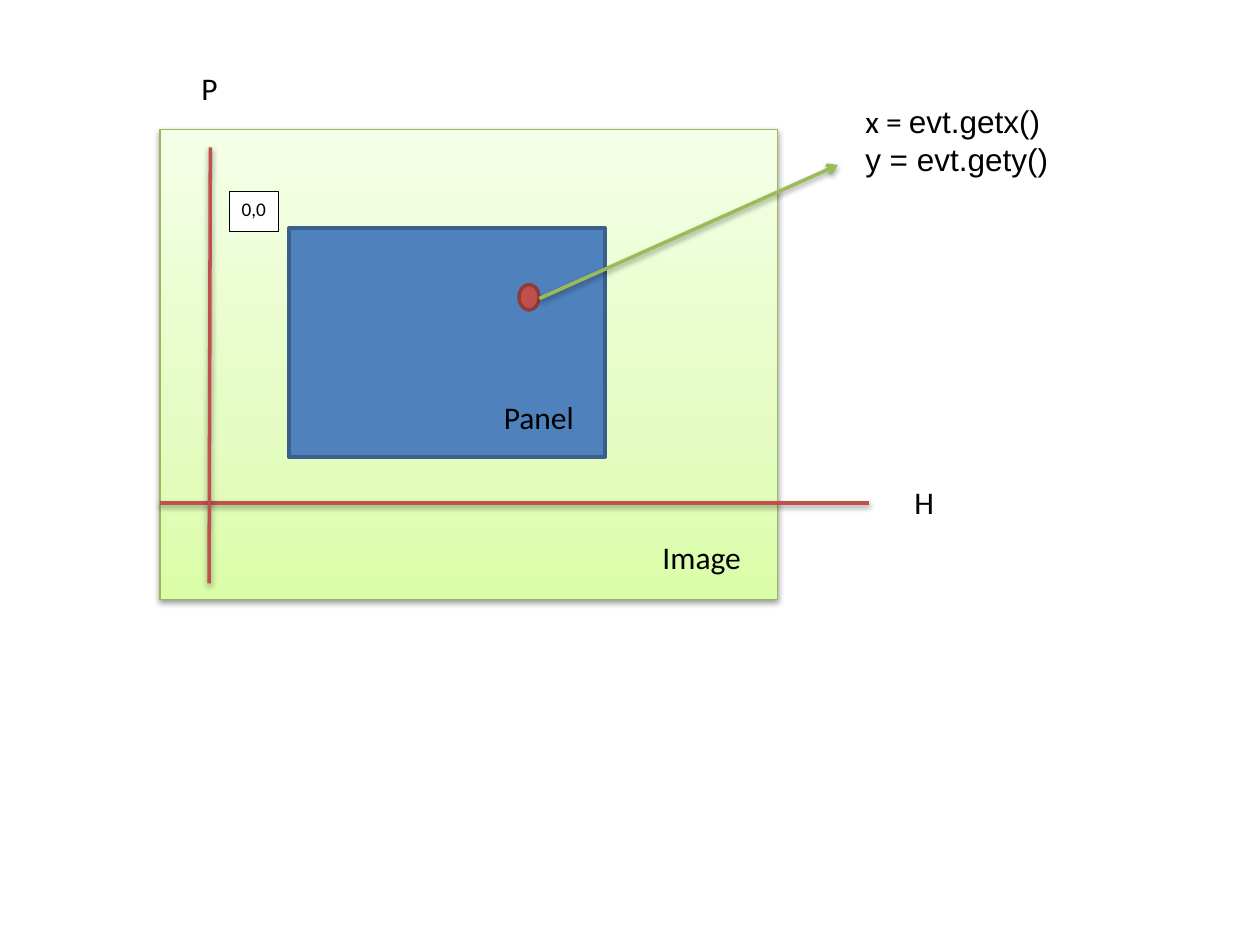
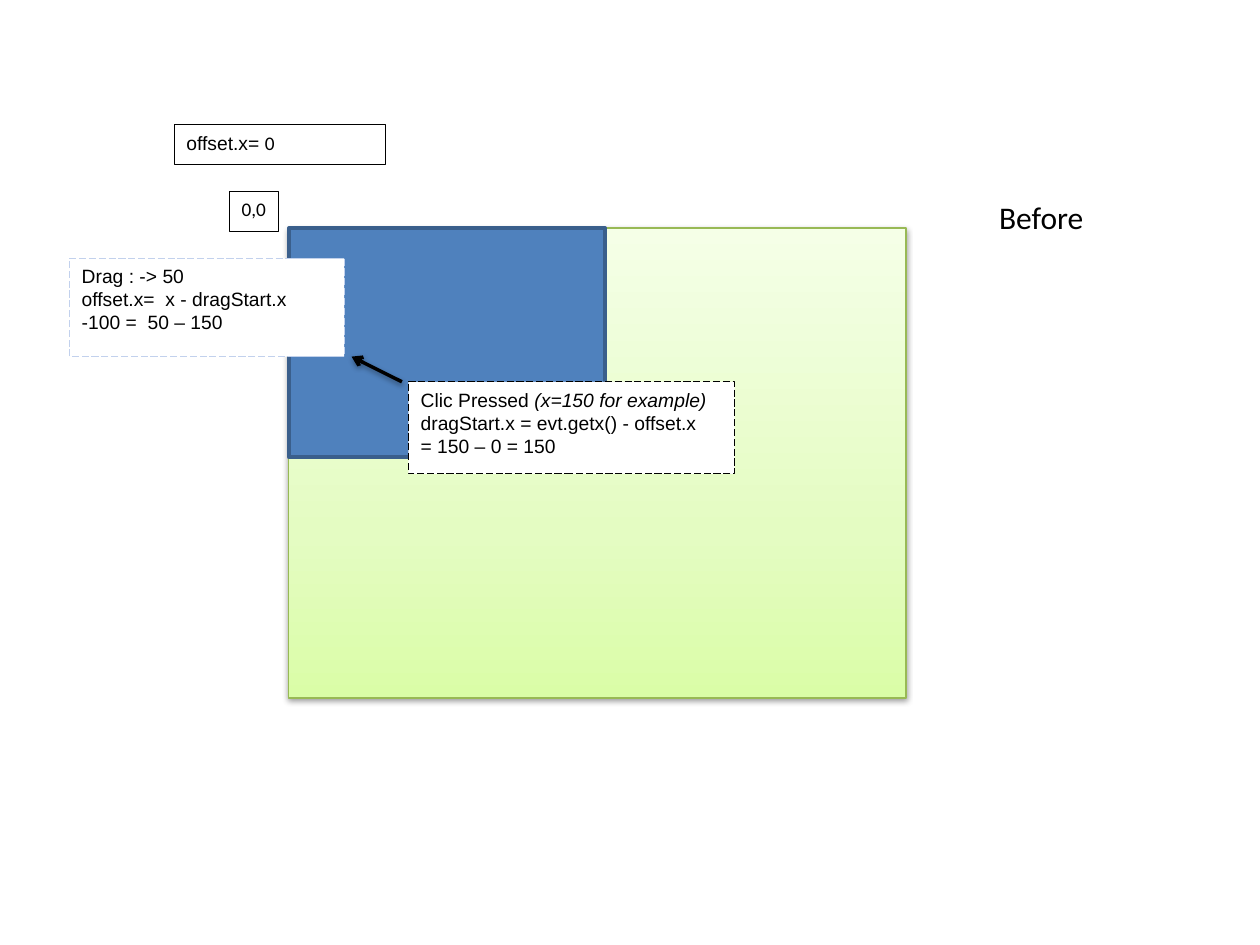
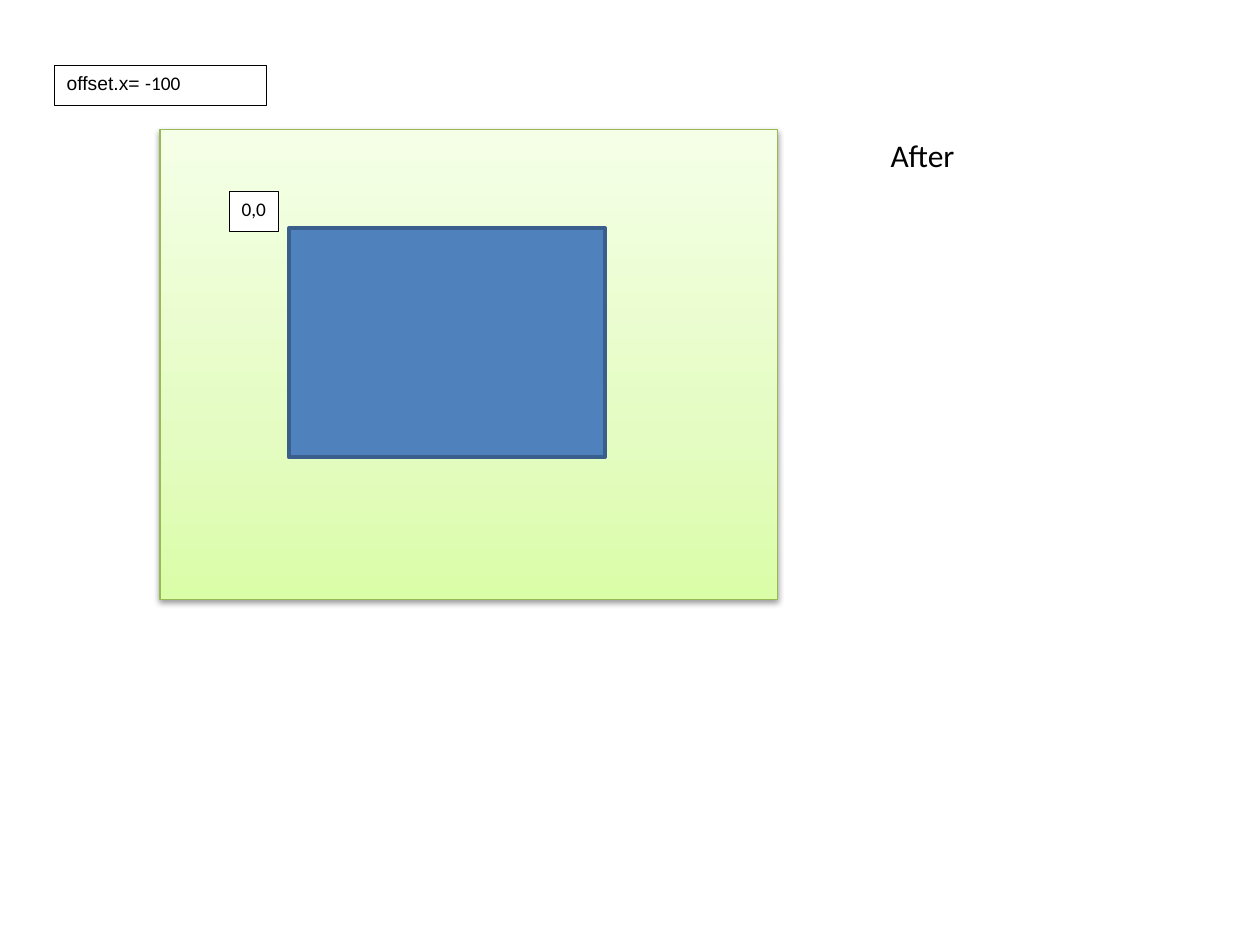
"""Build three slides that explain dragging an image inside a panel."""
from copy import deepcopy

from lxml.etree import SubElement
from pptx import Presentation
from pptx.dml.color import RGBColor
from pptx.enum.dml import MSO_LINE
from pptx.enum.shapes import MSO_CONNECTOR, MSO_SHAPE
from pptx.enum.text import MSO_AUTO_SIZE as AUTO, MSO_ANCHOR, PP_ALIGN
from pptx.oxml.ns import qn
from pptx.util import Pt

rgb = RGBColor.from_string
BLACK, WHITE, RED, GREEN = "000000", "FFFFFF", "C0504D", "9BBB59"
PANEL_LEFT, PANEL_TOP = 165, 130.3
GRADIENT = [(0, "DAFDA7"), (0.35, "E4FCC2"), (1, "F5FFE7")]


def cast_shadow(item):
    effects = SubElement(item._element.spPr, qn("a:effectLst"))
    shadow = SubElement(effects, qn("a:outerShdw"), blurRad="40000",
                        dist="20000", dir="5400000", rotWithShape="0")
    color = SubElement(shadow, qn("a:srgbClr"), val=BLACK)
    SubElement(color, qn("a:alpha"), val="38000")


def write(slide, box, lines, outline=None, dashed=False):
    note = slide.shapes.add_textbox(*map(Pt, box))
    frame = note.text_frame
    frame.word_wrap = dashed
    frame.vertical_anchor = MSO_ANCHOR.TOP
    frame.auto_size = AUTO.NONE if outline else AUTO.SHAPE_TO_FIT_TEXT
    if outline:
        note.fill.solid()
        note.fill.fore_color.rgb = rgb(WHITE)
        note.line.color.rgb = rgb(outline)
        note.line.width = Pt(0.5)
        if dashed:
            note.line.dash_style = MSO_LINE.LONG_DASH
    for number, pieces in enumerate(lines):
        paragraph = frame.paragraphs[0] if number == 0 else frame.add_paragraph()
        paragraph.alignment = PP_ALIGN.LEFT
        for text, font in pieces:
            run = paragraph.add_run()
            run.text = text
            run.font.name = font
            run.font.size = Pt(11 if outline else 18)
            run.font.color.rgb = rgb(BLACK)
    return frame


prs = Presentation()
prs.slide_width, prs.slide_height = Pt(720), Pt(540)

slides = []
for image_left, image_top in [(91.4, 74.2), (PANEL_LEFT, PANEL_TOP), (91.4, 74.2)]:
    slide = prs.slides.add_slide(prs.slide_layouts[6])
    slides.append(slide)

    image = slide.shapes.add_shape(MSO_SHAPE.RECTANGLE, Pt(image_left), Pt(image_top),
                                   Pt(352.8), Pt(268.6))
    image.fill.gradient()
    image.fill.gradient_angle = 90
    stops = image._element.spPr.find(".//" + qn("a:gsLst"))
    stops.insert(1, deepcopy(stops[0]))
    for stop, (position, color) in zip(image.fill.gradient_stops, GRADIENT):
        stop.position = position
        stop.color.rgb = rgb(color)
    image.line.color.rgb = rgb("98B955")
    image.line.width = Pt(0.75)
    cast_shadow(image)

    panel = slide.shapes.add_shape(MSO_SHAPE.RECTANGLE, Pt(PANEL_LEFT), Pt(PANEL_TOP),
                                   Pt(180.7), Pt(131))
    panel.shadow.inherit = False
    panel.fill.solid()
    panel.fill.fore_color.rgb = rgb("4F81BD")
    panel.line.color.rgb = rgb("3A5F8C")
    panel.line.width = Pt(2)

    write(slide, (131, 109.4, 28.1, 23), [[("0,0", "Calibri")]], BLACK)

axes, before, after = slides

for slide, text, box in [
    (axes, "Image", (371.5, 303.8, 59.8, 29)),
    (axes, "Panel", (280.8, 223.9, 54.7, 29)),
    (axes, "H", (515.5, 272.2, 25.9, 29)),
    (axes, "P", (108, 36, 23.8, 29)),
    (before, "Before", (563.8, 109.4, 63.4, 29)),
    (after, "After", (501.8, 74.2, 51.8, 29)),
]:
    write(slide, box, [[(text, "Calibri")]])

write(axes, (487.4, 54.7, 125.3, 51),
      [[("x = ", "Calibri"), ("evt.getx()", "Arial")], [("y = evt.gety()", "Arial")]])

pressed = write(before, (233.3, 218.2, 186.5, 52.6),
                [[("Clic Pressed ", "Arial"), ("(x=150 for example)", "Arial")],
                 [("dragStart.x = evt.getx() - offset.x", "Arial")],
                 [("= 150 – 0 = 150", "Arial")]], BLACK, dashed=True)
pressed.paragraphs[0].runs[1].font.italic = True

write(before, (39.6, 147.6, 157, 56.2),
      [[("Drag : -> 50", "Arial")],
       [("offset.x=  x - dragStart.x", "Arial")],
       [("-100 =  50 – 150", "Arial")]], "C2D1ED", dashed=True)

for slide, left, top, offset in [(before, 99.4, 71.3, "0"), (after, 31, 37.4, "-100")]:
    write(slide, (left, top, 121, 23),
          [[("offset.x= ", "Arial"), (offset, "Calibri")]], BLACK)

click = axes.shapes.add_shape(MSO_SHAPE.OVAL, Pt(296.6), Pt(162.7), Pt(11.5), Pt(14.4))
click.shadow.inherit = False
click.fill.solid()
click.fill.fore_color.rgb = rgb(RED)
click.line.color.rgb = rgb("8E3B39")
click.line.width = Pt(2)

for slide, ends, color, has_arrow in [
    (axes, (496.8, 287.3, 91.4, 287.3), RED, False),
    (axes, (120.2, 84.2, 119.5, 333.4), RED, False),
    (axes, (308.2, 170.6, 478.8, 94.3), GREEN, True),
    (before, (229.7, 218.2, 200.9, 203.8), BLACK, True),
]:
    stroke = slide.shapes.add_connector(MSO_CONNECTOR.STRAIGHT, *map(Pt, ends))
    stroke.line.color.rgb = rgb(color)
    stroke.line.width = Pt(2)
    if has_arrow:
        SubElement(stroke.line._get_or_add_ln(), qn("a:tailEnd"), type="arrow")
    cast_shadow(stroke)

prs.save("out.pptx")
